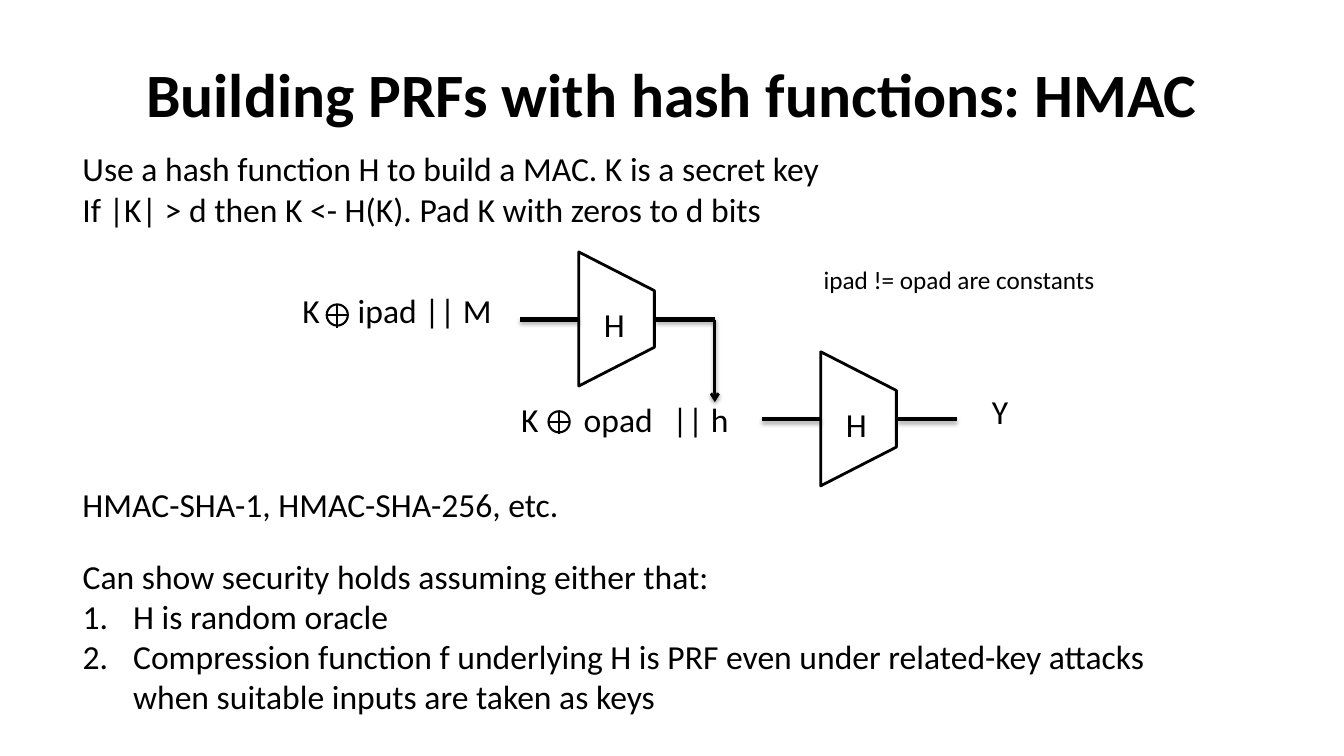
from dataclasses import dataclass

from lxml import etree
from pptx import Presentation, util as u
from pptx.dml.color import RGBColor
from pptx.enum import shapes, text
from pptx.oxml import ns

COLORS = {"ink": "000000", "paper": "FFFFFF"}
FONT = "Calibri"


@dataclass
class Label:
    content: tuple[str, ...]
    left: float
    top: float
    width: float
    height: float = 0.5
    size: int = 24
    tabs: tuple[float, ...] = ()


@dataclass
class HashStage:
    left: float
    top: float


@dataclass
class Xor:
    left: float
    top: float


LABELS = [
    Label(("Use a hash function H to build a MAC. K is a secret key",
           "If |K| > d then K <- H(K). Pad K with zeros to d bits"),
          0.72, 1.42, 7.57, 0.91),
    Label(("K\tipad || M",), 2.9, 2.83, 2.1, tabs=(0.55,)),
    Label(("Y",), 9.74, 3.83, 0.37),
    Label(("K\topad\t|| h",), 5.07, 3.91, 2.38, tabs=(0.62, 1.5)),
    Label(("ipad != opad are constants",), 8.07, 2.57, 2.93, 0.4, 18),
    Label(("HMAC-SHA-1, HMAC-SHA-256, etc.",), 0.72, 4.75, 5.04),
]
STAGES = [HashStage(5.16, 3.17), HashStage(7.56, 4.16)]
XORS = [Xor(3.24, 3.02), Xor(5.44, 4.08)]
ASSUMPTIONS = [
    "H is random oracle",
    "Compression function f underlying H is PRF even under related-key attacks "
    "when suitable inputs are taken as keys",
]


def color(name: str) -> RGBColor:
    return RGBColor.from_string(COLORS[name])


def add_text(p, content: str, size: int, bold: bool = False) -> None:
    r = p.add_run()
    r.text = content
    r.font.name = FONT
    r.font.size = u.Pt(size)
    r.font.bold = bold
    r.font.color.rgb = color("ink")


def place(sp, left: float, top: float, width: float, height: float) -> None:
    sp.left, sp.top = u.Inches(left), u.Inches(top)
    sp.width, sp.height = u.Inches(width), u.Inches(height)


def add_label(s, label: Label) -> None:
    sp = s.shapes.add_textbox(u.Inches(label.left), u.Inches(label.top),
                              u.Inches(label.width), u.Inches(label.height))
    tf = sp.text_frame
    tf.word_wrap = bool(label.tabs)
    tf.auto_size = text.MSO_AUTO_SIZE.SHAPE_TO_FIT_TEXT
    for i, line in enumerate(label.content):
        p = tf.add_paragraph() if i else tf.paragraphs[0]
        if label.tabs:
            tab_list = etree.SubElement(p._p.get_or_add_pPr(), ns.qn("a:tabLst"))
            for stop in label.tabs:
                etree.SubElement(tab_list, ns.qn("a:tab"), pos=str(u.Inches(stop)), algn="l")
        add_text(p, line, label.size)


def add_line(parent, start: tuple[float, float], end: tuple[float, float], width: float,
             shadow_alpha: int = 0, arrow: bool = False) -> None:
    """Draw a straight line; shadow_alpha is a percentage, 0 for no shadow."""
    sp = parent.add_connector(shapes.MSO_CONNECTOR.STRAIGHT,
                              *(u.Inches(v) for v in (*start, *end)))
    sp.line.color.rgb = color("ink")
    sp.line.width = u.Pt(width)
    if arrow:
        etree.SubElement(sp.line._get_or_add_ln(), ns.qn("a:tailEnd"), type="arrow")
    effects = etree.SubElement(sp._element.spPr, ns.qn("a:effectLst"))
    if shadow_alpha:
        shadow = etree.SubElement(effects, ns.qn("a:outerShdw"), blurRad="40000",
                                  dist="22000", dir="5400000", rotWithShape="0")
        shade = etree.SubElement(shadow, ns.qn("a:srgbClr"), val=COLORS["ink"])
        etree.SubElement(shade, ns.qn("a:alpha"), val=str(shadow_alpha * 1000))


def add_stage(s, stage: HashStage) -> None:
    """Draw a hash box whose input line starts at the stage's left and top."""
    x, y = stage.left, stage.top
    sp = s.shapes.add_shape(shapes.MSO_SHAPE.TRAPEZOID, u.Inches(x + 0.29),
                            u.Inches(y - 0.38), u.Inches(1.33), u.Inches(0.75))
    sp.rotation = 90
    sp.adjustments[0] = 0.512
    sp.shadow.inherit = False
    sp.fill.solid()
    sp.fill.fore_color.rgb = color("paper")
    sp.line.color.rgb = color("ink")
    sp.line.width = u.Pt(2)
    for left in (x, x + 1.35):
        add_line(s.shapes, (left + 0.58, y), (left, y), 3, 35)
    add_label(s, Label(("H",), x + 0.73, y - 0.2, 0.41))


def add_xor(s, xor: Xor) -> None:
    size = 0.21
    x, y = xor.left, xor.top
    group = s.shapes.add_group_shape().shapes
    add_line(group, (x + size / 2, y), (x + size / 2, y + 0.23), 1.25)
    sp = group.add_shape(shapes.MSO_SHAPE.OVAL, u.Inches(x), u.Inches(y),
                         u.Inches(size), u.Inches(size))
    sp.shadow.inherit = False
    sp.fill.background()
    sp.line.color.rgb = color("ink")
    sp.line.width = u.Pt(1.5)
    add_line(group, (x, y + size / 2), (x + size, y + size / 2), 1.5)


def fill_title(s) -> None:
    sp = s.shapes.title
    place(sp, 0.67, 0.3, 12, 1.25)
    tf = sp.text_frame
    tf.vertical_anchor = text.MSO_ANCHOR.MIDDLE
    p = tf.paragraphs[0]
    p.alignment = text.PP_ALIGN.CENTER
    add_text(p, "Building PRFs with hash functions: HMAC", 44, bold=True)


def fill_body(s) -> None:
    sp = s.placeholders[1]
    place(sp, 0.72, 5.46, 11.36, 1.72)
    tf = sp.text_frame
    tf.word_wrap = True
    tf.auto_size = text.MSO_AUTO_SIZE.SHAPE_TO_FIT_TEXT
    for i, line in enumerate(["Can show security holds assuming either that:", *ASSUMPTIONS]):
        p = tf.add_paragraph() if i else tf.paragraphs[0]
        p.space_before = u.Pt(0)
        pPr = p._p.get_or_add_pPr()
        indent = u.Inches(0.5) if i else 0
        pPr.set("marL", str(indent))
        pPr.set("indent", str(-indent))
        if i:
            etree.SubElement(pPr, ns.qn("a:buFont"), typeface="+mj-lt")
            etree.SubElement(pPr, ns.qn("a:buAutoNum"), type="arabicPeriod")
        else:
            etree.SubElement(pPr, ns.qn("a:buNone"))
        add_text(p, line, 24)


def main() -> None:
    prs = Presentation()
    prs.slide_width, prs.slide_height = u.Inches(13.33), u.Inches(7.5)
    s = prs.slides.add_slide(prs.slide_layouts[1])
    fill_title(s)
    fill_body(s)
    for stage in STAGES:
        add_stage(s, stage)
    for label in LABELS:
        add_label(s, label)
    for xor in XORS:
        add_xor(s, xor)
    add_line(s.shapes, (7.09, 3.17), (7.09, 3.99), 2, 38, arrow=True)
    prs.save("out.pptx")


if __name__ == "__main__":
    main()
